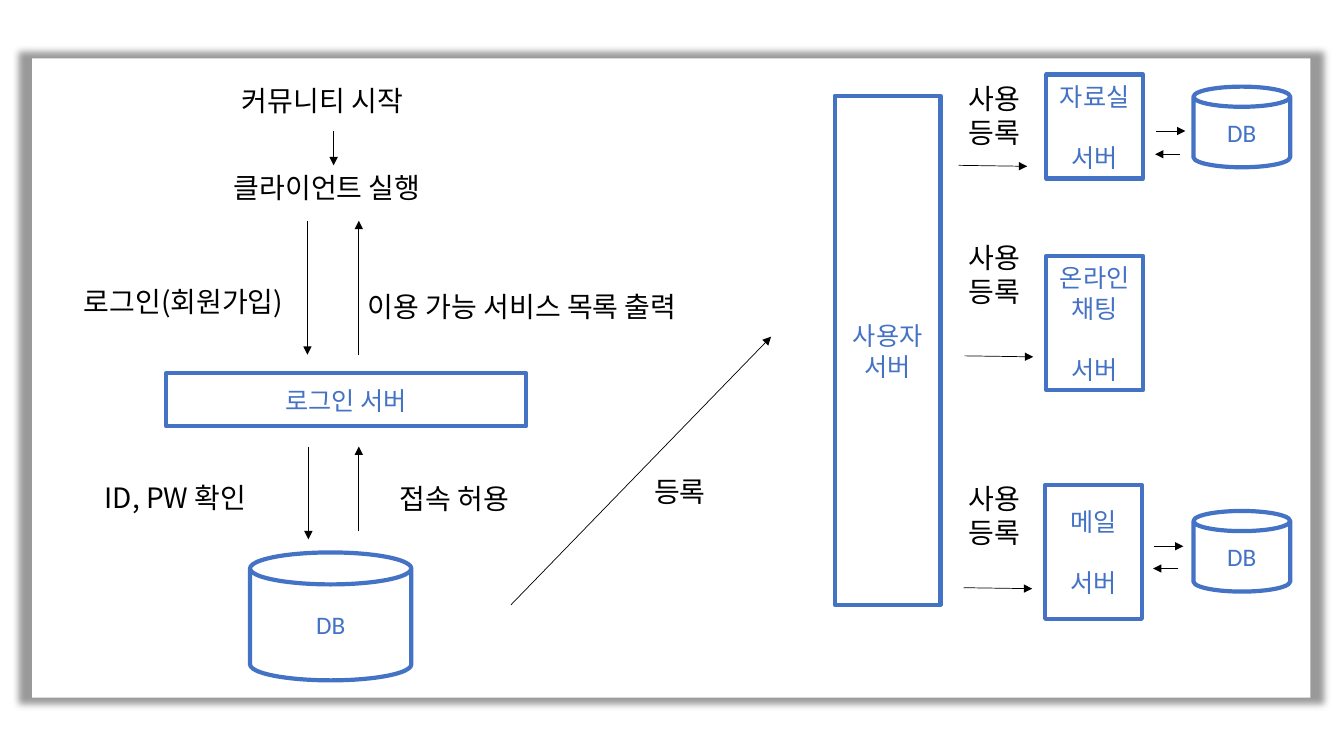
from lxml.etree import SubElement
from pptx import Presentation
from pptx.dml.color import RGBColor
from pptx.enum.shapes import MSO_CONNECTOR, MSO_SHAPE
from pptx.enum.text import MSO_ANCHOR, PP_ALIGN
from pptx.oxml.ns import qn
from pptx.util import Pt

COLORS = {"ink": "000000", "blue": "4472C4", "paper": "FFFFFF"}
KOREAN, LATIN = "Noto Sans CJK KR", "Calibri"
LABEL_SIZE, BOX_SIZE = 20, 18
LINE_PITCH = 1.22
RECT, CAN = MSO_SHAPE.RECTANGLE, MSO_SHAPE.CAN

# All lengths are points
PANEL = (23, 41.8, 913, 456.5)

# Lines, left, top, width, filled
LABELS = [
    (["클라이언트 실행"], 159.8, 118.1, 226, False),
    (["커뮤니티 시작"], 165.6, 55.4, 226, False),
    (["로그인(회원가입)"], 52.6, 199.4, 226, False),
    (["ID, PW 확인"], 67.7, 339.1, 226, True),
    (["접속 허용"], 278.6, 339.8, 152.6, True),
    (["이용 가능 서비스 목록 출력"], 255.6, 203, 265, False),
    (["등록"], 460.1, 334.8, 60.5, True),
    (["사용", "등록"], 684.7, 54, 152.6, True),
    (["사용", "등록"], 684.7, 167.8, 56.2, True),
    (["사용", "등록"], 684.7, 339.8, 56.2, True),
]

# Preset, lines, left, top, width, height
NODES = [
    (RECT, ["로그인 서버"], 118.8, 266.4, 257, 38.2),
    (CAN, ["DB"], 178.6, 394.6, 115.2, 91.4),
    (RECT, ["사용자 서버"], 596.2, 68.4, 75.6, 363.6),
    (RECT, ["자료실", "서버"], 747.4, 53.3, 69.1, 74.2),
    (RECT, ["온라인 채팅", "서버"], 747.4, 182.9, 69.1, 95.8),
    (RECT, ["메일", "서버"], 746.6, 346.3, 69.1, 95.8),
    (CAN, ["DB"], 852.5, 61.9, 69.1, 57.6),
    (CAN, ["DB"], 852.5, 365, 69.1, 57.6),
]

# Start x, start y, end x, end y
ARROWS = [
    (238.3, 93.6, 238.3, 118.1),
    (219.6, 157.7, 219.6, 253.4),
    (256.3, 253.4, 256.3, 157.7),
    (220.3, 319, 220.3, 385.2),
    (256.3, 379.4, 256.3, 319),
    (365, 432, 550.8, 240.5),
    (684.7, 118.1, 733.7, 118.8),
    (689, 254.2, 738, 254.9),
    (688.3, 419.8, 737.3, 420.5),
    (825.8, 93.6, 846.7, 93.6),
    (843.1, 110.2, 825.1, 110.2),
    (824.4, 390.2, 845.3, 390.2),
    (841.7, 406.1, 823.7, 406.1),
]


def rgb(name):
    return RGBColor.from_string(COLORS[name])


def paint(shape, fill=None, line=None):
    shape.shadow.inherit = False
    if fill:
        shape.fill.solid()
        shape.fill.fore_color.rgb = rgb(fill)
    else:
        shape.fill.background()
    if line:
        shape.line.color.rgb = rgb(line)
        shape.line.width = Pt(3)
    else:
        shape.line.fill.background()


def write(shape, lines, size, font, color, align, gap=0):
    frame = shape.text_frame
    frame.word_wrap = True
    for index, text in enumerate(lines):
        para = frame.paragraphs[0] if index == 0 else frame.add_paragraph()
        para.alignment = align
        para.line_spacing = Pt(size * LINE_PITCH)
        if index:
            para.space_before = Pt(gap)
        span = para.add_run()
        span.text = text
        span.font.size = Pt(size)
        span.font.name = font
        span.font.color.rgb = rgb(color)
        SubElement(span.font._element, qn("a:ea"), typeface=KOREAN)


deck = Presentation()
deck.slide_width, deck.slide_height = Pt(960), Pt(540)
page = deck.slides.add_slide(deck.slide_layouts[6])

# Panel with a soft, slightly larger shadow
panel = page.shapes.add_shape(RECT, *map(Pt, PANEL))
paint(panel, fill="paper")
effects = panel._element.spPr.find(qn("a:effectLst"))
shadow = SubElement(effects, qn("a:outerShdw"), blurRad=str(Pt(5)),
                    sx="102000", sy="102000", algn="ctr", rotWithShape="0")
shade = SubElement(shadow, qn("a:srgbClr"), val=COLORS["ink"])
SubElement(shade, qn("a:alpha"), val="40000")

# Labels
for lines, left, top, width, filled in LABELS:
    height = 7.2 + len(lines) * LABEL_SIZE * LINE_PITCH
    label = page.shapes.add_textbox(Pt(left), Pt(top), Pt(width), Pt(height))
    if filled:
        label.fill.solid()
        label.fill.fore_color.rgb = rgb("paper")
    write(label, lines, LABEL_SIZE, KOREAN, "ink", PP_ALIGN.LEFT)

# Servers and databases
for preset, lines, *place in NODES:
    node = page.shapes.add_shape(preset, *map(Pt, place))
    paint(node, line="blue")
    node.text_frame.vertical_anchor = MSO_ANCHOR.MIDDLE
    write(node, lines, BOX_SIZE, LATIN, "blue", PP_ALIGN.CENTER,
          gap=BOX_SIZE * LINE_PITCH)

# Arrows
for ends in ARROWS:
    arrow = page.shapes.add_connector(MSO_CONNECTOR.STRAIGHT, *map(Pt, ends))
    arrow.line.color.rgb = rgb("ink")
    arrow.line.width = Pt(0.5)
    SubElement(arrow.line._get_or_add_ln(), qn("a:tailEnd"), type="triangle")
    SubElement(arrow._element.spPr, qn("a:effectLst"))

deck.save("out.pptx")
